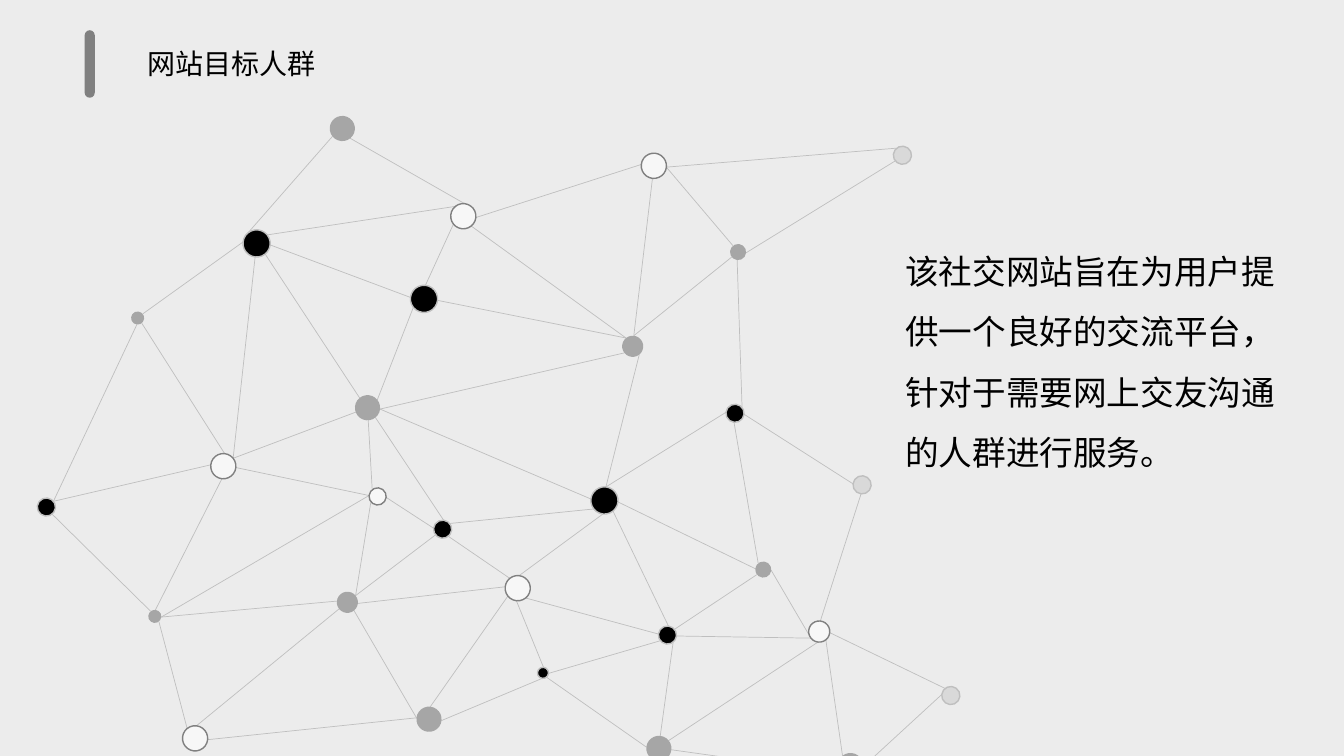
from math import cos, radians, sin

from pptx import Presentation
from pptx.dml.color import RGBColor
from pptx.enum import shapes, text
from pptx.oxml.ns import qn
from pptx.util import Inches, Pt

TITLE = "网站目标人群"
BODY = "该社交网站旨在为用户提供一个良好的交流平台，针对于需要网上交友沟通的人群进行服务。"
TITLE_FONT, BODY_FONT = "Noto Sans CJK SC", "Calibri"

# Node styles: fill, outline
STYLES = {
    "black": ("000000", "BFBFBF"),
    "white": ("F7F7F7", "808080"),
    "grey": ("A6A6A6", None),
    "light": ("D9D9D9", "BFBFBF"),
}

# Nodes: left, top, diameter, style
NODES = {
    "A": (0.37, 4.94, 0.18, "black"),
    "B": (2.09, 4.5, 0.25, "white"),
    "C": (5.86, 4.83, 0.27, "black"),
    "D": (3.34, 5.87, 0.21, "grey"),
    "E": (5.01, 5.71, 0.25, "white"),
    "F": (4.3, 5.16, 0.18, "black"),
    "G": (1.47, 6.05, 0.13, "grey"),
    "H": (3.66, 4.84, 0.17, "white"),
    "I": (7.49, 5.57, 0.16, "grey"),
    "J": (8.02, 6.16, 0.21, "white"),
    "K": (8.46, 4.72, 0.18, "light"),
    "L": (1.81, 7.2, 0.25, "white"),
    "M": (6.41, 7.3, 0.25, "grey"),
    "N": (8.86, 1.45, 0.18, "light"),
    "O": (4.13, 7.01, 0.25, "grey"),
    "P": (6.53, 6.21, 0.18, "black"),
    "Q": (5.33, 6.62, 0.11, "black"),
    "R": (8.31, 7.47, 0.25, "grey"),
    "S": (9.34, 6.81, 0.18, "light"),
    "T": (3.27, 1.15, 0.25, "grey"),
    "U": (4.47, 2.02, 0.25, "white"),
    "V": (4.07, 2.83, 0.27, "black"),
    "W": (6.36, 1.52, 0.25, "white"),
    "X": (6.17, 3.33, 0.21, "grey"),
    "Y": (2.41, 2.28, 0.27, "black"),
    "Z": (7.24, 2.42, 0.16, "grey"),
    "a": (1.3, 3.09, 0.13, "grey"),
    "b": (3.52, 3.92, 0.25, "grey"),
    "c": (7.2, 4.01, 0.18, "black"),
}

# Links: node and rim site, twice; sites 0-7 run clockwise from the right, 8 is the centre
LINKS = """
A1G5 G6B2 B7b8 D7H3 H0F4 C3F7 C4b0 F6b1 C2E6 I5c2 G0D4 F3D7 b8H5
K4c0 K2J6 J3I0 L0O4 L6D3 L5G1 C1P6 C0I4 I3P7 J3P0 M6P1 F1E5 D0E4
Q6E2 Q0P3 E1P4 O4D1 B0H4 A7B4 a1B6 A7a2 c4C6 O6E3 O0Q2 Q1M4 H4G0
Z2c7 R3M0 J2M7 S4R0 S5J0 R5J1 a7Y4 B7Y2 V4Y0 b7V3 Y1b5 U0W4 U3V6
C6X1 b0X3 V0X5 X6Z3 W2X6 U1X5 U5Y7 Z5W0 N3Z0 N5W0 Y5T3 U6T1
""".split()
TILT = 6.2  # degrees by which the rim sites are turned
CENTRE = 8


def color(value):
    return RGBColor.from_string(value)


def site(name, number):
    left, top, size, _ = NODES[name]
    radius = 0 if number == CENTRE else size / 2
    angle = radians(TILT + 45 * number)
    return (Inches(left + size / 2 + radius * cos(angle)),
            Inches(top + size / 2 + radius * sin(angle)))


def add_shape(kind, place, fill, outline=None):
    shape = page.shapes.add_shape(kind, *map(Inches, place))
    shape.shadow.inherit = False
    shape.fill.solid()
    shape.fill.fore_color.rgb = color(fill)
    if outline:
        shape.line.color.rgb = color(outline)
        shape.line.width = Pt(1)
    else:
        shape.line.fill.background()
    return shape


def write(box, place, words, font, size, anchor, spacing):
    box.left, box.top, box.width, box.height = map(Inches, place)
    frame = box.text_frame
    frame.word_wrap = True
    frame.vertical_anchor = anchor
    para = frame.paragraphs[0]
    para.alignment = text.PP_ALIGN.LEFT
    para.line_spacing = spacing
    span = para.add_run()
    span.text = words
    for key, value in {"name": font, "size": Pt(size)}.items():
        setattr(span.font, key, value)
    span.font.color.rgb = color("000000")
    return span


deck = Presentation()
deck.slide_width, deck.slide_height = Inches(13.33), Inches(7.5)
page = deck.slides.add_slide(deck.slide_layouts[5])
page.background.fill.solid()
page.background.fill.fore_color.rgb = color("ECECEC")

# Network links, under the nodes
for start, start_site, end, end_site in LINKS:
    link = page.shapes.add_connector(
        shapes.MSO_CONNECTOR.STRAIGHT,
        *site(start, int(start_site)), *site(end, int(end_site)))
    link.line.color.rgb = color("BFBFBF")
    link.line.width = Pt(0.5)
    properties = link._element.spPr
    properties.append(properties.makeelement(qn("a:effectLst"), {}))

# Network nodes
for left, top, size, style in NODES.values():
    node = add_shape(shapes.MSO_SHAPE.OVAL, (left, top, size, size), *STYLES[style])
    node.rotation = 180 + TILT

# Title with its bar
heading = write(page.shapes.title, (1.36, 0.41, 3.6, 0.44), TITLE,
                TITLE_FONT, 20, text.MSO_ANCHOR.TOP, 1.0)
east_asian = heading.font._element.makeelement(qn("a:ea"), {"typeface": TITLE_FONT})
heading.font._element.append(east_asian)
bar = add_shape(shapes.MSO_SHAPE.ROUNDED_RECTANGLE, (0.84, 0.3, 0.1, 0.67), "808080")
bar.adjustments[0] = 0.5

# Description
box = page.shapes.add_textbox(0, 0, 0, 0)
write(box, (8.88, 2.24, 3.89, 3.13), BODY, BODY_FONT, 24, text.MSO_ANCHOR.TOP, 1.5)

deck.save("out.pptx")
